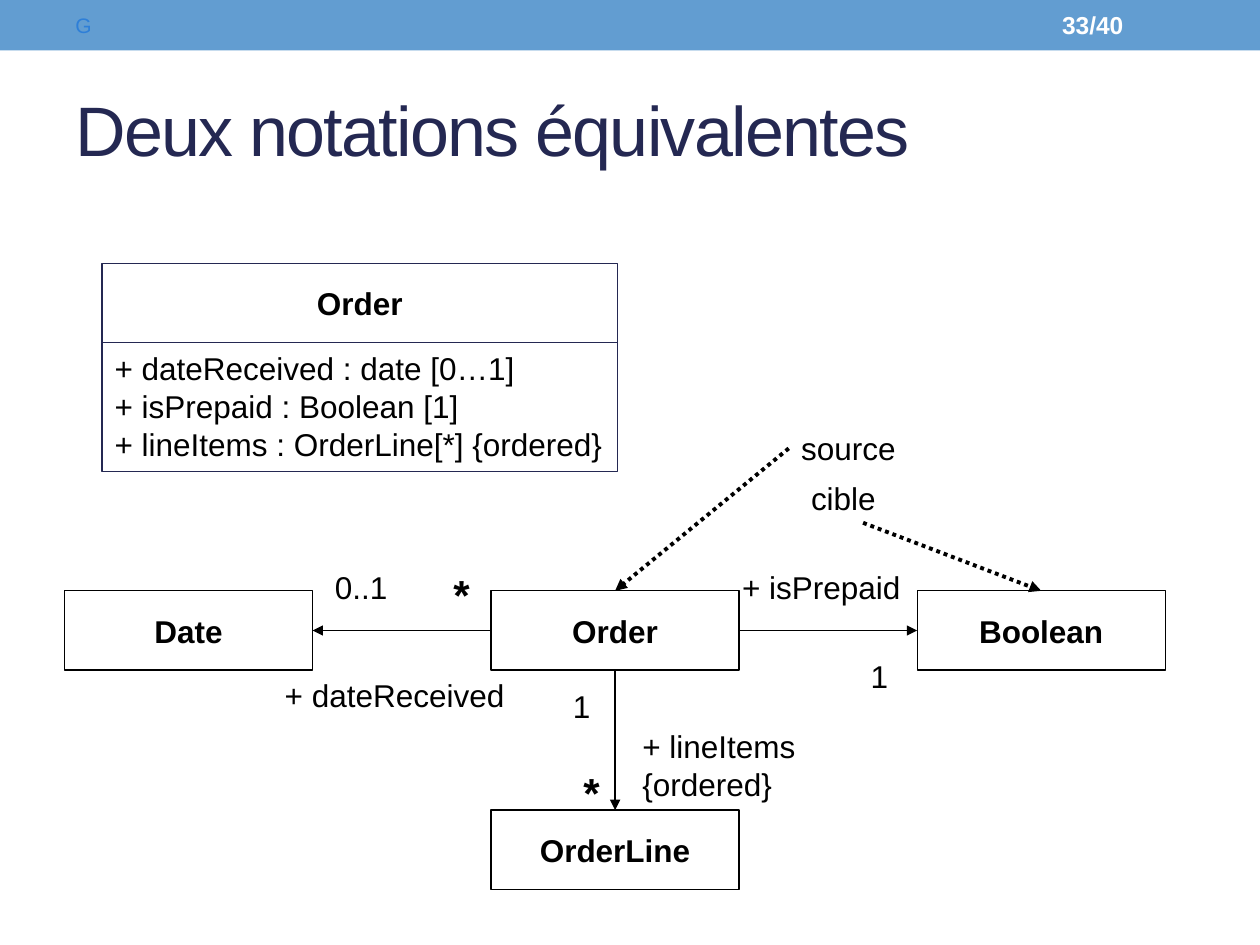
from lxml import etree
from pptx import Presentation
from pptx.dml.color import RGBColor
from pptx.enum.dml import MSO_LINE
from pptx.enum.shapes import MSO_CONNECTOR, MSO_SHAPE
from pptx.enum.text import MSO_ANCHOR, MSO_AUTO_SIZE, PP_ALIGN
from pptx.oxml.ns import qn
from pptx.util import Cm, Pt

RECTANGLE = MSO_SHAPE.RECTANGLE
STRAIGHT = MSO_CONNECTOR.STRAIGHT
DOTTED = MSO_LINE.ROUND_DOT
LEFT, CENTER = PP_ALIGN.LEFT, PP_ALIGN.CENTER
TOP, MIDDLE = MSO_ANCHOR.TOP, MSO_ANCHOR.MIDDLE
NO_FIT, GROW = MSO_AUTO_SIZE.NONE, MSO_AUTO_SIZE.SHAPE_TO_FIT_TEXT

BLACK = RGBColor(0, 0, 0)
WHITE = RGBColor(255, 255, 255)
NAVY = RGBColor(0x24, 0x28, 0x52)
BAR_BLUE = RGBColor(0x62, 0x9D, 0xD1)
MARK_BLUE = RGBColor(0x2E, 0x7F, 0xD8)
FONT = "Arial"

# Content; all lengths in centimetres
TITLE = "Deux notations équivalentes"
ATTRIBUTES = [
    "+ dateReceived : date [0…1]",
    "+ isPrepaid : Boolean [1]",
    "+ lineItems : OrderLine[*] {ordered}",
]
CLASS_WIDTH, CLASS_HEIGHT = 5.0, 1.6
ROW_TOP, LOWER_TOP = 11.91, 16.33
CLASSES = {  # name: left, top
    "Order": (9.9, ROW_TOP),
    "Boolean": (18.49, ROW_TOP),
    "Date": (1.3, ROW_TOP),
    "OrderLine": (9.9, LOWER_TOP),
}
# Connection sites of a rectangle
SITE_TOP, SITE_LEFT, SITE_BOTTOM, SITE_RIGHT = range(4)
ASSOCIATIONS = [
    ("Order", SITE_LEFT, "Date", SITE_RIGHT),
    ("Order", SITE_BOTTOM, "OrderLine", SITE_TOP),
    ("Order", SITE_RIGHT, "Boolean", SITE_LEFT),
]
POINTERS = [  # start x, start y, class pointed at
    (15.9, 9.04, "Order"),
    (17.4, 10.54, "Boolean"),
]
LABELS = [  # lines, left, top, width, height
    (["+ dateReceived"], 5.49, 13.51, 4.93, 1.02),
    (["0..1"], 6.5, 11.33, 1.57, 1.02),
    (["+ isPrepaid"], 14.71, 11.33, 3.71, 1.02),
    (["1"], 17.3, 13.13, 0.86, 1.02),
    (["+ lineItems", "{ordered}"], 12.7, 14.53, 3.78, 1.78),
    (["1"], 11.3, 13.72, 0.86, 1.02),
    (["source"], 15.9, 8.53, 2.59, 1.02),
    (["cible"], 16.1, 9.53, 2.59, 1.02),
]
STARS = [(8.89, 11.33, 0.81, 1.27), (11.51, 15.32, 0.61, 1.27)]


def write(shape, lines, size=18, color=BLACK, bold=False, align=LEFT,
          anchor=TOP, wrap=False, fit=NO_FIT):
    frame = shape.text_frame
    frame.text = "\n".join(lines)
    frame.word_wrap = wrap
    frame.auto_size = fit
    frame.vertical_anchor = anchor
    for para in frame.paragraphs:
        para.alignment = align
        para.font.name = FONT
        para.font.size = Pt(size)
        para.font.bold = bold
        para.font.color.rgb = color


def add_text(page, lines, place, **style):
    box = page.shapes.add_textbox(*map(Cm, place))
    write(box, lines, **style)


def add_box(shapes, place, lines, line_color, **style):
    box = shapes.add_shape(RECTANGLE, *map(Cm, place))
    box.shadow.inherit = False
    box.fill.background()
    box.line.color.rgb = line_color
    box.line.width = Pt(0.75)
    write(box, lines, **style)
    return box


def add_arrow(page, start=(0, 0), width=0.75):
    x, y = map(Cm, start)
    arrow = page.shapes.add_connector(STRAIGHT, x, y, x, y)
    arrow.line.color.rgb = BLACK
    arrow.line.width = Pt(width)
    return arrow


def finish_arrow(arrow):
    line = arrow.line._get_or_add_ln()
    etree.SubElement(line, qn("a:tailEnd"), type="triangle")
    etree.SubElement(arrow._element.spPr, qn("a:effectLst"))


def main():
    deck = Presentation()
    deck.slide_width, deck.slide_height = Cm(25.4), Cm(19.05)
    page = deck.slides.add_slide(deck.slide_layouts[5])

    # Header bar
    bar = page.shapes.add_shape(RECTANGLE, 0, 0, deck.slide_width, Cm(1.02))
    bar.shadow.inherit = False
    bar.fill.solid()
    bar.fill.fore_color.rgb = BAR_BLUE
    bar.line.fill.background()
    add_text(page, ["G"], (1.27, 0.05, 2, 0.91), size=12, color=MARK_BLUE,
             anchor=MIDDLE, wrap=True)
    add_text(page, ["33/40"], (21.16, 0.05, 2.97, 0.91), size=14, color=WHITE,
             bold=True, anchor=MIDDLE, wrap=True)

    # Title
    title = page.shapes.title
    title.left, title.top = Cm(1.27), Cm(1.22)
    title.width, title.height = Cm(22.86), Cm(2.74)
    write(title, [TITLE], size=40, color=NAVY, anchor=MIDDLE, wrap=True)
    title.text_frame.paragraphs[0].runs[0].font._element.set("spc", "-100")

    # Attribute notation: class name above its attributes
    group = page.shapes.add_group_shape()
    left, top, width, name_height = 2.06, 5.31, 10.39, 1.6
    add_box(group.shapes, (left, top, width, name_height), ["Order"], NAVY,
            bold=True, align=CENTER, anchor=MIDDLE)
    add_box(group.shapes, (left, top + name_height, width, 2.59), ATTRIBUTES,
            NAVY)

    # Association notation
    boxes = {
        name: add_box(page.shapes, (*corner, CLASS_WIDTH, CLASS_HEIGHT),
                      [name], BLACK, bold=True, align=CENTER, anchor=MIDDLE)
        for name, corner in CLASSES.items()
    }
    for source, source_site, target, target_site in ASSOCIATIONS:
        arrow = add_arrow(page)
        arrow.begin_connect(boxes[source], source_site)
        arrow.end_connect(boxes[target], target_site)
        finish_arrow(arrow)

    # Roles, multiplicities and notes
    for lines, *place in LABELS:
        add_text(page, lines, place, fit=GROW)
    for place in STARS:
        add_text(page, ["*"], place, size=24, bold=True, wrap=True, fit=GROW)

    # Dotted pointers from the notes
    for x, y, target in POINTERS:
        arrow = add_arrow(page, (x, y), 2.25)
        arrow.end_connect(boxes[target], SITE_TOP)
        arrow.line.dash_style = DOTTED
        finish_arrow(arrow)

    deck.save("out.pptx")


if __name__ == "__main__":
    main()
